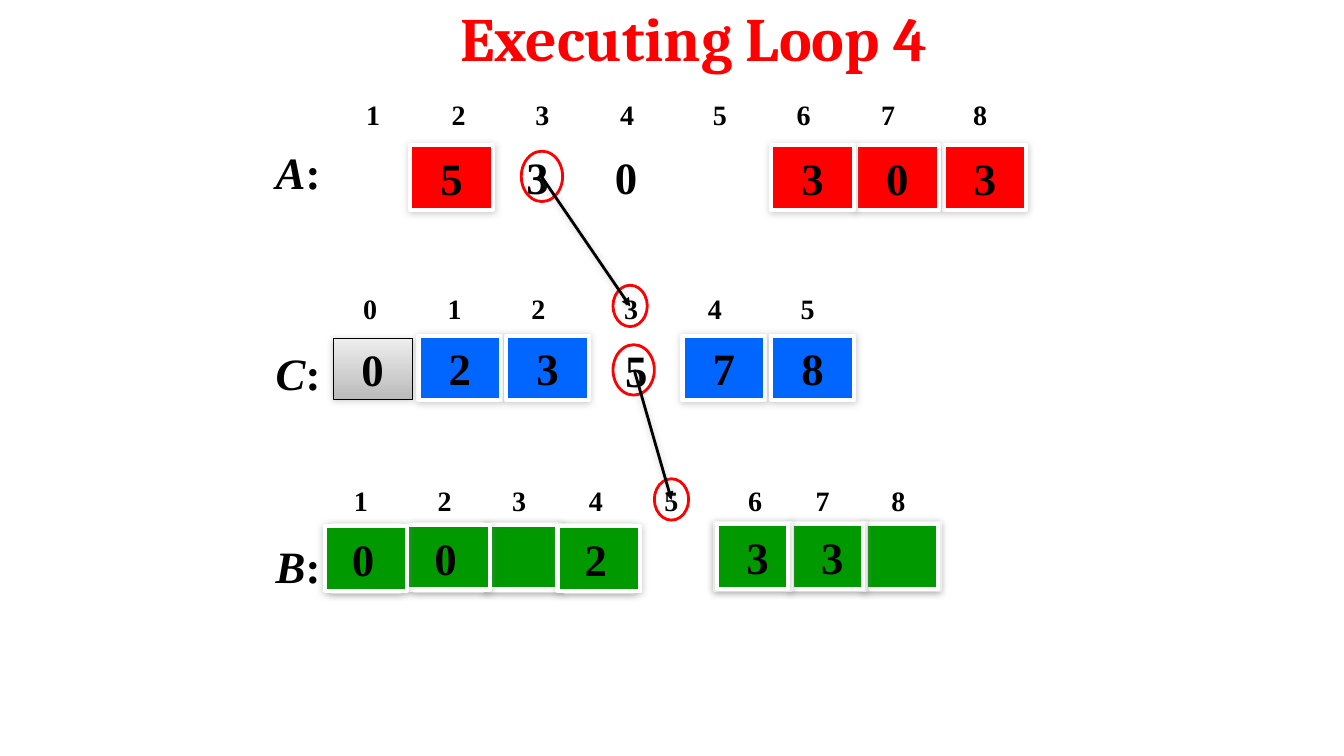
import dataclasses

import pptx
import pptx.dml.color
import pptx.enum.dml
import pptx.enum.shapes
import pptx.enum.text
import pptx.oxml
import pptx.oxml.ns
import pptx.util

EMU_PER_PX = 9144  # 100 px to the inch
SHAPE = pptx.enum.shapes.MSO_SHAPE
ALIGN = pptx.enum.text.PP_ALIGN
ANCHOR = pptx.enum.text.MSO_ANCHOR
NAMESPACE = pptx.oxml.ns.nsdecls("a")


@dataclasses.dataclass(frozen=True)
class Theme:
    red: str = "FF0000"
    blue: str = "0066FF"
    green: str = "009900"
    backing: str = "9BBB59"
    gray_dark: str = "BBBBBB"
    gray_light: str = "EDEDED"
    black: str = "000000"
    white: str = "FFFFFF"
    shadow: str = "808080"
    title_font: str = "Cambria"
    body_font: str = "Times New Roman"
    title_size: int = 44
    value_size: int = 32
    index_size: int = 20
    inset: int = 5


def px(length):
    return pptx.util.Emu(length * EMU_PER_PX)


def rgb(color):
    return pptx.dml.color.RGBColor.from_string(color)


class SlideBuilder:
    def __init__(self, page, theme):
        self.page = page
        self.theme = theme

    def style_font(self, font, size, color=None, name=None):
        font.name = name or self.theme.body_font
        font.size = pptx.util.Pt(size)
        font.bold = True
        font.color.rgb = rgb(color or self.theme.black)

    def set_frame(self, frame, align, anchor=ANCHOR.TOP, wrap=True, nudge=0):
        """Set insets and alignment; nudge moves centred text sideways."""
        frame.word_wrap = wrap
        frame.vertical_anchor = anchor
        frame.margin_top = frame.margin_bottom = px(self.theme.inset)
        frame.margin_left = px(self.theme.inset + max(2 * nudge, 0))
        frame.margin_right = px(self.theme.inset + max(-2 * nudge, 0))
        para = frame.paragraphs[0]
        para.alignment = align
        return para

    def text_box(self, bounds, align, anchor=ANCHOR.TOP):
        box = self.page.shapes.add_textbox(*map(px, bounds))
        return self.set_frame(box.text_frame, align, anchor, wrap=False)

    def label(self, text, bounds, size, align=ALIGN.CENTER):
        para = self.text_box(bounds, align)
        para.text = text
        self.style_font(para.font, size)

    def title(self, text, bounds):
        para = self.text_box(bounds, ALIGN.CENTER, ANCHOR.MIDDLE)
        para.text = text
        theme = self.theme
        self.style_font(para.font, theme.title_size, theme.red, theme.title_font)

    def array_name(self, letter, top):
        para = self.text_box((267, top, 56, 60), ALIGN.RIGHT)
        self.style_font(para.font, self.theme.value_size)
        for text, italic in ((letter, True), (":", False)):
            span = para.add_run()
            span.text = text
            span.font.italic = italic

    def index(self, number, left, top):
        self.label(str(number), (left, top, 26, 41), self.theme.index_size)

    def loose_value(self, text, left, top):
        self.label(text, (left, top, 36, 60), self.theme.value_size, ALIGN.LEFT)

    def add_shadow(self, shape):
        shape._element.spPr.append(pptx.oxml.parse_xml(
            f'<a:effectLst {NAMESPACE}>'
            '<a:outerShdw blurRad="63500" dist="12700" dir="5400000" rotWithShape="0">'
            f'<a:srgbClr val="{self.theme.shadow}"><a:alpha val="38000"/></a:srgbClr>'
            '</a:outerShdw></a:effectLst>'))

    def panel(self, kind, bounds, fill, line, width):
        """Add a shadowed shape; a pair of fill colours runs from bottom to top."""
        shape = self.page.shapes.add_shape(kind, *map(px, bounds))
        if isinstance(fill, tuple):
            shape.fill.gradient()
            shape.fill.gradient_angle = 90
            for stop, color in zip(shape.fill.gradient_stops, fill):
                stop.color.rgb = rgb(color)
        else:
            shape.fill.solid()
            shape.fill.fore_color.rgb = rgb(fill)
        shape.line.color.rgb = rgb(line)
        shape.line.width = pptx.util.Pt(width)
        self.add_shadow(shape)
        return shape

    def cell(self, value, bounds, fill, line=None, width=3, nudge=0):
        shape = self.panel(SHAPE.RECTANGLE, bounds, fill, line or self.theme.white, width)
        if value:
            para = self.set_frame(shape.text_frame, ALIGN.CENTER, ANCHOR.MIDDLE, nudge=nudge)
            para.text = value
            self.style_font(para.font, self.theme.value_size)

    def backed_cell(self, value, left, top, width, backing_width, nudge):
        bounds = (left + (width - backing_width) // 2, top - 1, backing_width, 66)
        backing = self.panel(SHAPE.ROUNDED_RECTANGLE, bounds, self.theme.backing,
                             self.theme.white, 3)
        backing.adjustments[0] = 0
        self.cell(value, (left, top, width, 64), self.theme.green, nudge=nudge)

    def ring(self, *bounds):
        shape = self.page.shapes.add_shape(SHAPE.OVAL, *map(px, bounds))
        shape.shadow.inherit = False
        shape.fill.background()
        shape.line.color.rgb = rgb(self.theme.red)
        shape.line.width = pptx.util.Pt(2)

    def arrow(self, *ends):
        line = self.page.shapes.add_connector(
            pptx.enum.shapes.MSO_CONNECTOR.STRAIGHT, *map(px, ends))
        line.line.color.rgb = rgb(self.theme.black)
        line.line.width = pptx.util.Pt(2)
        outline = line._element.spPr.find(pptx.oxml.ns.qn("a:ln"))
        outline.append(pptx.oxml.parse_xml(f'<a:tailEnd {NAMESPACE} type="triangle"/>'))
        self.add_shadow(line)


def main():
    deck = pptx.Presentation()
    deck.slide_width, deck.slide_height = px(1333), px(750)
    theme = Theme()
    slide = SlideBuilder(deck.slides.add_slide(deck.slide_layouts[6]), theme)

    slide.title("Executing Loop 4", (276, -17, 825, 108))
    for letter, top in (("A", 139), ("C", 338), ("B", 530)):
        slide.array_name(letter, top)

    index_rows = (
        (1, 92, (357, 442, 525, 609, 701, 784, 868, 959)),
        (0, 284, (354, 438, 521, 613, 696, 788)),
        (1, 475, (345, 428, 502, 578, 653, 736, 803, 878)),
    )
    for first, top, lefts in index_rows:
        for number, left in enumerate(lefts, first):
            slide.index(number, left, top)

    value_rows = (
        (theme.red, 144, (("5", 407), ("3", 936), ("0", 849), ("3", 765))),
        (theme.blue, 333, (("2", 415), ("3", 502), ("7", 677), ("8", 765))),
    )
    for fill, top, values in value_rows:
        for value, left in values:
            slide.cell(value, (left, top, 82, 64), fill)
    slide.cell("0", (330, 336, 79, 60), (theme.gray_dark, theme.gray_light),
               theme.black, 0.25)

    # Back to front, since neighbours in B overlap.
    output_cells = (
        ("", 482, 521, 76, 75, 0),
        ("", 859, 520, 71, 75, 0),
        ("3", 785, 520, 71, 75, 5),
        ("0", 404, 521, 82, 68, -3),
        ("3", 711, 520, 71, 75, 5),
        ("0", 322, 522, 82, 68, -3),
        ("2", 553, 522, 82, 68, -3),
    )
    for output_cell in output_cells:
        slide.backed_cell(*output_cell)

    for value, left, top in (("3", 517, 144), ("0", 605, 144), ("5", 615, 335)):
        slide.loose_value(value, left, top)

    for left, top in ((517, 150), (608, 342)):
        slide.ring(left, top, 41, 50)
    for left, top in ((608, 283), (649, 475)):
        slide.ring(left, top, 34, 41)
    slide.arrow(537, 175, 625, 304)
    slide.arrow(629, 367, 666, 496)

    deck.save("out.pptx")


if __name__ == "__main__":
    main()
